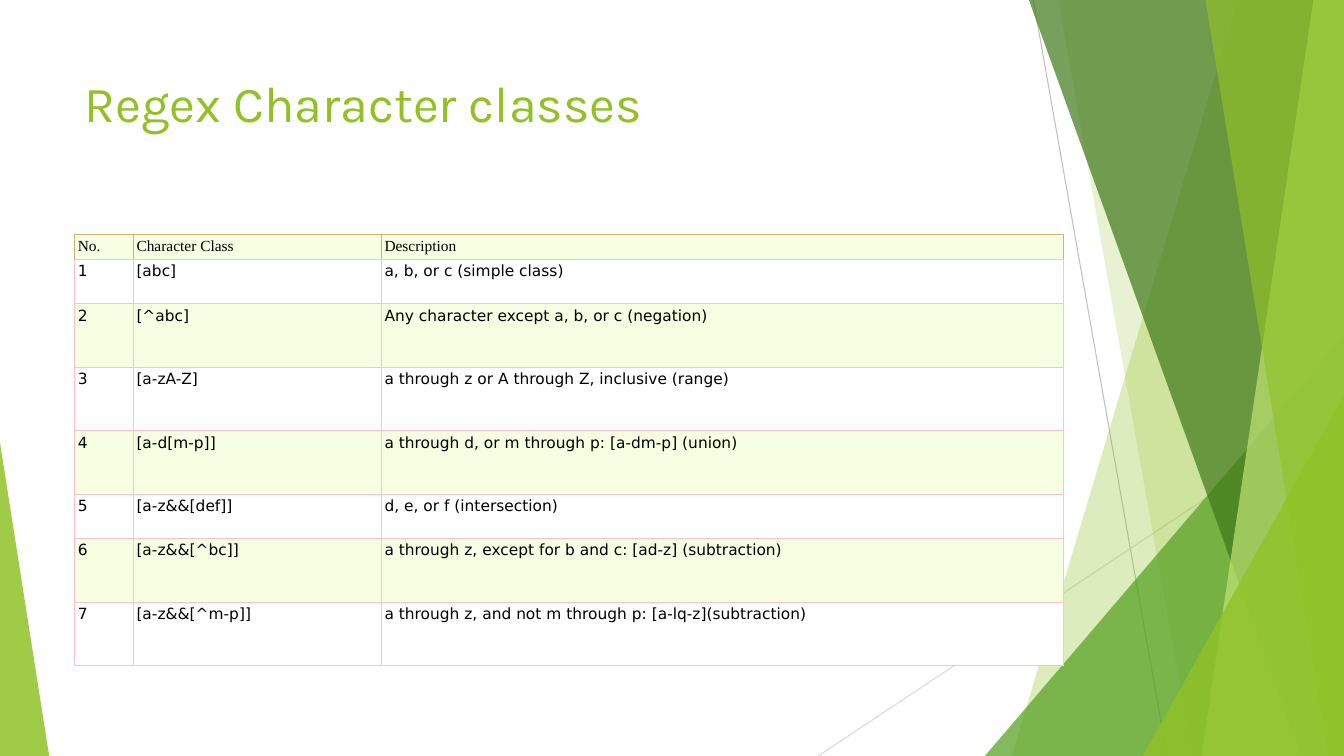
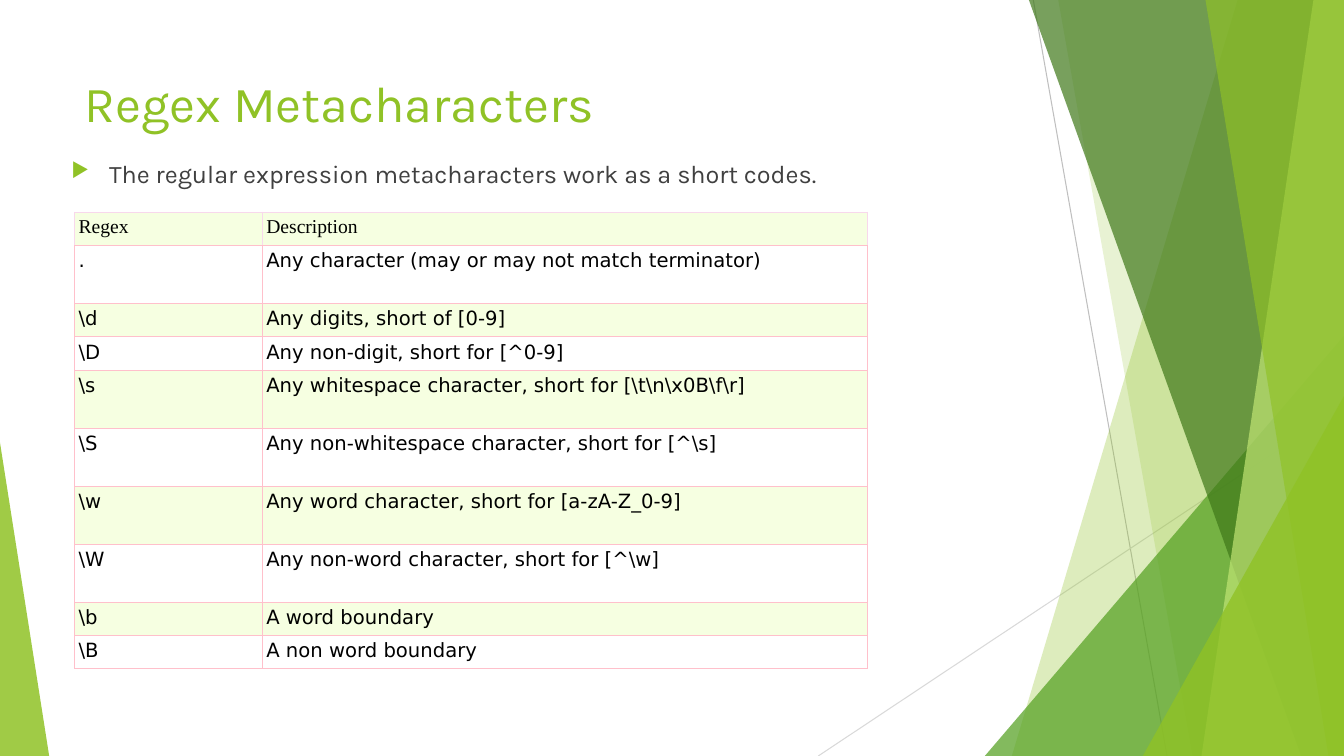
import pptx
import pptx.dml.color
import pptx.enum.shapes
import pptx.enum.text
import pptx.oxml
import pptx.oxml.ns
import pptx.util
from lxml import etree

Cm = pptx.util.Cm
Pt = pptx.util.Pt
qn = pptx.oxml.ns.qn

WIDTH, HEIGHT = 33.87, 19.05
GREEN = "90C226"
PINK = "FFC0CB"
STRIPES = ("F6FFE1", "FFFFFF")


def rgb(hex_code):
    return pptx.dml.color.RGBColor.from_string(hex_code)


def write(paragraph, text, font_name, size, hex_code):
    paragraph.text = text
    paragraph.font.name = font_name
    paragraph.font.size = Pt(size)
    paragraph.font.color.rgb = rgb(hex_code)


rays = [
    ("BFBFBF", 26.04, 0, 29.41, HEIGHT),
    ("D9D9D9", WIDTH, 10.24, 20.62, HEIGHT),
]

# fmt: off
facets = [
    (GREEN, 30, (31.19, 25.5)),
    (GREEN, 20, (26.67, 30.05)),
    ("54A021", 72, (24.82, 8.46, 9.05, 1)),
    ("3F7819", 70, (25.93, 32.79)),
    ("C0E474", 70, (33.1, 30.28)),
    (GREEN, 65, (30.38, 33.48)),
    (GREEN, 80, (28.8, 9.98, 5.07, 1)),
    (GREEN, 85, (0, 11.15, 1.24, 0)),
]
# fmt: on

pages = [
    {
        "title": "Regex Character classes",
        "lead": None,
        "top": 5.9,
        "columns": (1.48, 6.25, 17.18),
        "size": 11,
        "inset": 0.08,
        "header_edge": "D0B071",
        "rows": [
            (0.63, "No.", "Character Class", "Description"),
            (1.12, "1", "[abc]", "a, b, or c (simple class)"),
            (1.6, "2", "[^abc]", "Any character except a, b, or c (negation)"),
            (1.6, "3", "[a-zA-Z]", "a through z or A through Z, inclusive (range)"),
            (1.6, "4", "[a-d[m-p]]", "a through d, or m through p: [a-dm-p] (union)"),
            (1.12, "5", "[a-z&&[def]]", "d, e, or f (intersection)"),
            (1.6, "6", "[a-z&&[^bc]]", "a through z, except for b and c: [ad-z] (subtraction)"),
            (1.6, "7", "[a-z&&[^m-p]]", "a through z, and not m through p: [a-lq-z](subtraction)"),
        ],
    },
    {
        "title": "Regex Metacharacters",
        "lead": "The regular expression metacharacters work as a short codes.",
        "top": 5.35,
        "columns": (4.73, 15.24),
        "size": 14,
        "inset": 0.1,
        "header_edge": "F8D8EC",
        "rows": [
            (0.84, "Regex", "Description"),
            (1.46, ".", "Any character (may or may not match terminator)"),
            (0.84, r"\d", "Any digits, short of [0-9]"),
            (0.84, r"\D", "Any non-digit, short for [^0-9]"),
            (1.46, r"\s", r"Any whitespace character, short for [\t\n\x0B\f\r]"),
            (1.46, r"\S", r"Any non-whitespace character, short for [^\s]"),
            (1.46, r"\w", "Any word character, short for [a-zA-Z_0-9]"),
            (1.46, r"\W", r"Any non-word character, short for [^\w]"),
            (0.84, r"\b", "A word boundary"),
            (0.84, r"\B", "A non word boundary"),
        ],
    },
]

deck = pptx.Presentation()
deck.slide_width = Cm(WIDTH)
deck.slide_height = Cm(HEIGHT)

for page in pages:
    slide = deck.slides.add_slide(deck.slide_layouts[6])

    for hex_code, *ends in rays:
        ray = slide.shapes.add_connector(
            pptx.enum.shapes.MSO_CONNECTOR.STRAIGHT, *[Cm(end) for end in ends]
        )
        ray.line.color.rgb = rgb(hex_code)
        ray.line.width = Pt(0.75)
        etree.SubElement(ray._element.spPr, qn("a:effectLst"))

    for hex_code, opacity, geometry in facets:
        if len(geometry) == 2:
            top_x, bottom_x = geometry
            outline = slide.shapes.build_freeform(Cm(top_x), 0)
            outline.add_line_segments([
                (Cm(WIDTH), 0), (Cm(WIDTH), Cm(HEIGHT)), (Cm(bottom_x), Cm(HEIGHT)),
            ])
            facet = outline.convert_to_shape()
        else:
            left, top, width, apex = geometry
            facet = slide.shapes.add_shape(
                pptx.enum.shapes.MSO_SHAPE.ISOSCELES_TRIANGLE,
                Cm(left), Cm(top), Cm(width), Cm(HEIGHT - top),
            )
            facet.adjustments[0] = apex
        facet.shadow.inherit = False
        facet.line.fill.background()
        facet.fill.solid()
        facet.fill.fore_color.rgb = rgb(hex_code)
        tint = facet._element.spPr.find(qn("a:solidFill"))[0]
        etree.SubElement(tint, qn("a:alpha"), val=str(opacity * 1000))

    title = slide.shapes.add_textbox(Cm(1.88), Cm(1.7), Cm(23.88), Cm(3.66))
    title.text_frame.word_wrap = True
    write(title.text_frame.paragraphs[0], page["title"], "Karla", 36, GREEN)

    if page["lead"]:
        lead = slide.shapes.add_textbox(Cm(1.55), Cm(3.86), Cm(24.23), Cm(1.2))
        lead.text_frame.word_wrap = True
        sentence = lead.text_frame.paragraphs[0]
        layout = sentence._p.get_or_add_pPr()
        layout.set("marL", str(Cm(0.95)))
        layout.set("indent", str(-Cm(0.95)))
        bullet_color = etree.SubElement(layout, qn("a:buClr"))
        etree.SubElement(bullet_color, qn("a:srgbClr"), val=GREEN)
        etree.SubElement(layout, qn("a:buSzPct"), val="80000")
        etree.SubElement(layout, qn("a:buChar"), char="▶")
        write(sentence, page["lead"], "Karla", 18, "404040")

    rows, columns = page["rows"], page["columns"]
    grid = slide.shapes.add_table(
        len(rows), len(columns), Cm(1.88), Cm(page["top"]),
        Cm(sum(columns)), Cm(sum(row[0] for row in rows)),
    ).table
    grid.first_row = False
    grid.horz_banding = False
    for column, width in zip(grid.columns, columns):
        column.width = Cm(width)

    for row_index, (height, *texts) in enumerate(rows):
        grid.rows[row_index].height = Cm(height)
        is_header = row_index == 0
        edge = page["header_edge"] if is_header else PINK
        stripe = STRIPES[0] if is_header else STRIPES[row_index % 2]
        for column_index, text in enumerate(texts):
            cell = grid.cell(row_index, column_index)
            cell.margin_left = cell.margin_right = Cm(page["inset"])
            cell.margin_top = cell.margin_bottom = Cm(page["inset"])
            entry = cell.text_frame.paragraphs[0]
            font_name = "Times New Roman" if is_header else "DejaVu Sans"
            write(entry, text, font_name, page["size"], "000000")
            if not is_header:
                entry.alignment = pptx.enum.text.PP_ALIGN.JUSTIFY
            borders = cell._tc.get_or_add_tcPr()
            for side, hex_code in (("L", edge), ("R", edge), ("T", edge), ("B", PINK)):
                border = etree.SubElement(borders, qn("a:ln" + side), w=str(Pt(0.75)))
                ink = etree.SubElement(border, qn("a:solidFill"))
                etree.SubElement(ink, qn("a:srgbClr"), val=hex_code)
            cell.fill.solid()
            cell.fill.fore_color.rgb = rgb(stripe)

deck.save("out.pptx")
